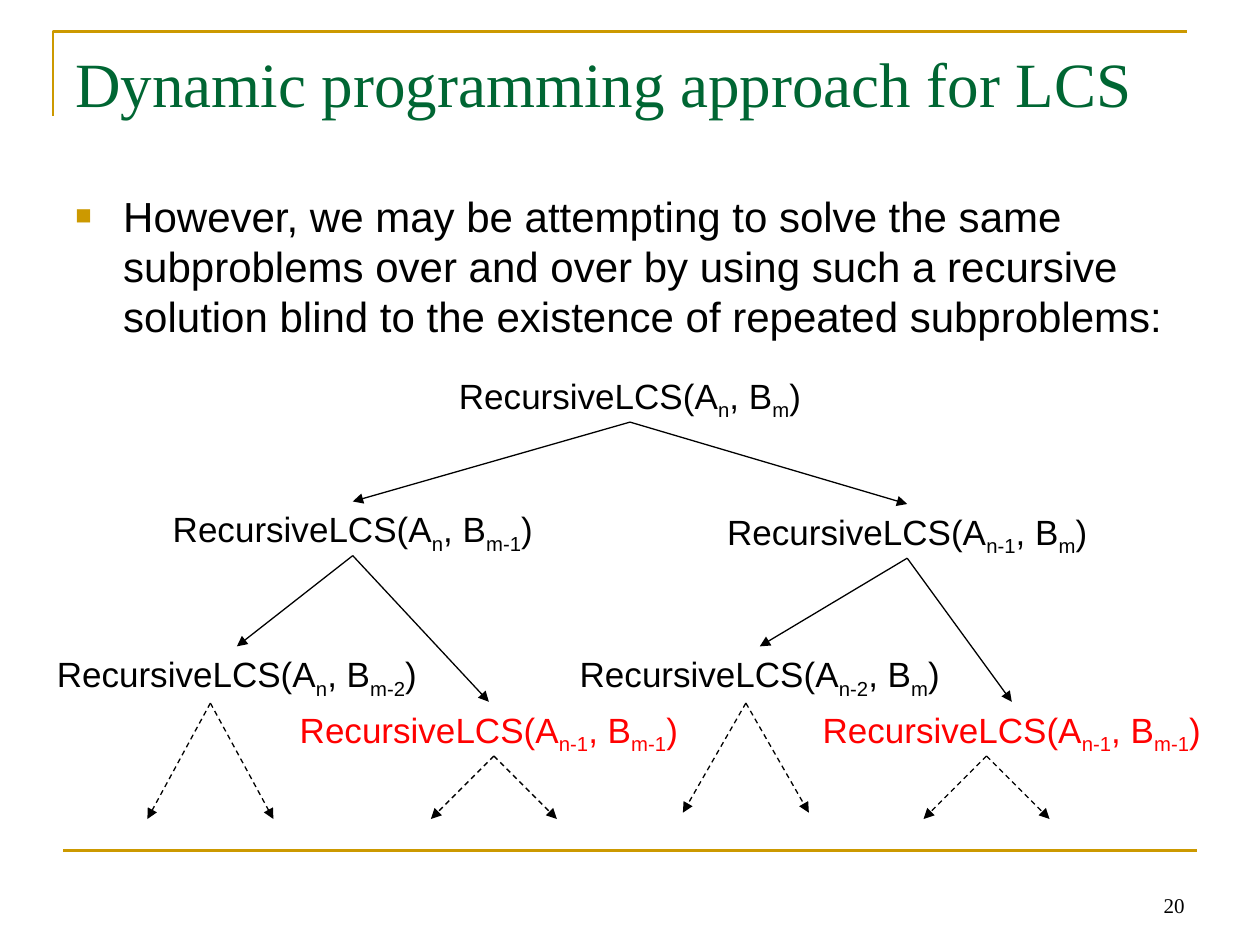
import pptx
import pptx.dml.color
import pptx.enum.dml
import pptx.enum.shapes
import pptx.enum.text
import pptx.oxml
import pptx.util
from pptx.util import Inches

GOLD, GREEN, BLACK, RED = "CC9900", "006633", "000000", "FF0101"
ALIGN = pptx.enum.text.PP_ALIGN
ANCHOR = pptx.enum.text.MSO_ANCHOR

TITLE = "Dynamic programming approach for LCS"
BODY = ("However, we may be attempting to solve the same subproblems over and over "
        "by using such a recursive solution blind to the existence of repeated subproblems:")
PAGE_NUMBER = "20"

# name: centre x, top, width, subscript of A, subscript of B, colour
CALLS = {
    "root": (5, 2.92, 2.94, "n", "m", BLACK),
    "left": (2.8, 3.98, 3.1, "n", "m-1", BLACK),
    "right": (7.2, 4, 3.1, "n-1", "m", BLACK),
    "left left": (1.88, 5.13, 3.1, "n", "m-2", BLACK),
    "left right": (3.88, 5.57, 3.26, "n-1", "m-1", RED),
    "right left": (6.03, 5.13, 3.1, "n-2", "m", BLACK),
    "right right": (8.03, 5.57, 3.26, "n-1", "m-1", RED),
}
CALL_HEIGHT = 0.43
BRANCHES = [("root", "left"), ("root", "right"),
            ("left", "left left"), ("left", "left right"),
            ("right", "right left"), ("right", "right right")]
# apex x, apex y, end y of each pair of dashed arrows
FURTHER_CALLS = [(1.67, 5.58, 6.5), (3.92, 6, 6.5), (7.83, 6, 6.5), (5.92, 5.58, 6.45)]
HALF_SPREAD = 0.5


def color(value):
    return pptx.dml.color.RGBColor.from_string(value)


def child(parent, tag, **attributes):
    """Append a DrawingML element to parent."""
    element = pptx.oxml.parse_xml(
        f'<a:{tag} xmlns:a="http://schemas.openxmlformats.org/drawingml/2006/main"/>')
    for name, value in attributes.items():
        element.set(name, value)
    parent.append(element)
    return element


def add_text(page, text, left, top, width, height, *, size, font="Arial", ink=BLACK,
             align=ALIGN.LEFT, anchor=ANCHOR.TOP, wrap=True):
    """Add a text box; text is a string or a list of (string, is_subscript)."""
    box = page.shapes.add_textbox(*map(Inches, (left, top, width, height)))
    frame = box.text_frame
    frame.word_wrap = wrap
    frame.vertical_anchor = anchor
    if not wrap:
        frame.auto_size = pptx.enum.text.MSO_AUTO_SIZE.SHAPE_TO_FIT_TEXT
    para = frame.paragraphs[0]
    para.alignment = align
    for words, subscript in [(text, False)] if isinstance(text, str) else text:
        span = para.add_run()
        span.text = words
        span.font.size = pptx.util.Pt(size)
        span.font.name = font
        span.font.color.rgb = color(ink)
        if subscript:
            span.font._element.set("baseline", "-25000")
    return box


def add_bullet(para):
    para.space_before = pptx.util.Pt(4.8)
    properties = para._p.get_or_add_pPr()
    properties.set("marL", str(Inches(0.38)))
    properties.set("indent", str(Inches(-0.38)))
    child(child(properties, "buClr"), "srgbClr", val=GOLD)
    child(properties, "buSzPct", val="65000")
    child(properties, "buFont", typeface="Arial")
    child(properties, "buChar", char="■")


def add_line(page, start=(0, 0), end=(0, 0), *, ink=BLACK, weight=0.75,
             arrow=True, dashed=False):
    line = page.shapes.add_connector(
        pptx.enum.shapes.MSO_CONNECTOR.STRAIGHT, *map(Inches, (*start, *end)))
    line.line.color.rgb = color(ink)
    line.line.width = pptx.util.Pt(weight)
    if dashed:
        line.line.dash_style = pptx.enum.dml.MSO_LINE.DASH
    if arrow:
        child(line.line._get_or_add_ln(), "tailEnd", type="triangle")
    child(line._element.spPr, "effectLst")
    return line


def add_frame(page):
    """Draw the gold corner at the title and the gold rule at the foot."""
    builder = page.shapes.build_freeform(Inches(0.42), Inches(0.92))
    builder.add_line_segments(
        [(Inches(0.42), Inches(0.25)), (Inches(9.42), Inches(0.25))], close=False)
    corner = builder.convert_to_shape()
    corner.shadow.inherit = False
    corner.fill.background()
    corner.line.color.rgb = color(GOLD)
    corner.line.width = pptx.util.Pt(1.5)
    add_line(page, (0.5, 6.75), (9.5, 6.75), ink=GOLD, weight=1.5, arrow=False)


def add_call_tree(page):
    boxes = {}
    for name, (center, top, width, a, b, ink) in CALLS.items():
        text = [("RecursiveLCS(A", False), (a, True), (", B", False), (b, True), (")", False)]
        boxes[name] = add_text(page, text, center - width / 2, top, width, CALL_HEIGHT,
                               size=20, ink=ink, align=ALIGN.CENTER, wrap=False)
    for parent, branch in BRANCHES:
        arrow = add_line(page)
        arrow.begin_connect(boxes[parent], 2)
        arrow.end_connect(boxes[branch], 0)
    for x, top, bottom in FURTHER_CALLS:
        for side in (-HALF_SPREAD, HALF_SPREAD):
            add_line(page, (x, top), (x + side, bottom), dashed=True)


def main():
    deck = pptx.Presentation()
    deck.slide_width, deck.slide_height = Inches(10), Inches(7.5)
    page = deck.slides.add_slide(deck.slide_layouts[6])
    add_frame(page)
    add_text(page, PAGE_NUMBER, 7.17, 6.83, 2.33, 0.5, size=12, font="Times New Roman",
             align=ALIGN.RIGHT, anchor=ANCHOR.BOTTOM)
    add_text(page, TITLE, 0.5, 0.3, 9, 1.25, size=36, font="Times New Roman", ink=GREEN)
    body = add_text(page, BODY, 0.5, 1.46, 9, 4.95, size=24)
    add_bullet(body.text_frame.paragraphs[0])
    add_call_tree(page)
    deck.save("out.pptx")


if __name__ == "__main__":
    main()
